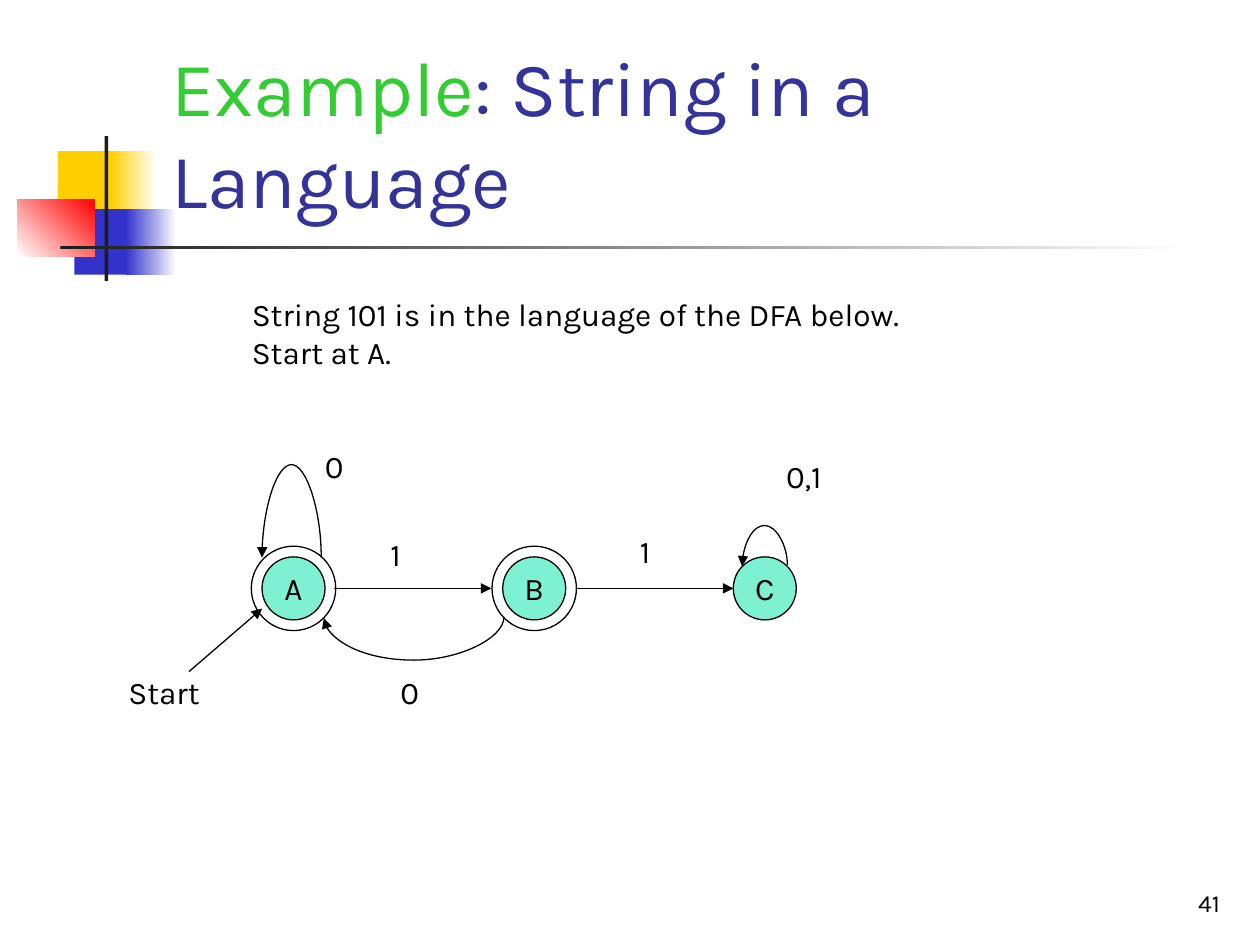
from pptx import Presentation
from pptx.dml.color import RGBColor
from pptx.enum.shapes import MSO_CONNECTOR, MSO_SHAPE
from pptx.enum.text import MSO_ANCHOR, MSO_AUTO_SIZE, PP_ALIGN
from pptx.oxml.ns import qn
from pptx.util import Inches, Pt
from lxml.etree import SubElement

COLORS = {
    "black": "000000", "white": "FFFFFF", "ink": "1C1C1C",
    "yellow": "FFCF01", "blue": "3333CC", "red": "FF0000",
    "green": "33CC33", "navy": "333399", "state": "00E4A8",
}
FONT = "Karla"
LABEL = {"word_wrap": False, "auto_size": MSO_AUTO_SIZE.SHAPE_TO_FIT_TEXT}
BOTTOM = {"word_wrap": True, "vertical_anchor": MSO_ANCHOR.BOTTOM}
CENTERED = {"word_wrap": False, "vertical_anchor": MSO_ANCHOR.MIDDLE}
STATE_Y = 4.67
INNER, OUTER = 0.5, 0.67
LOOP_WIDTH = 0.01


def rgb(name):
    return RGBColor.from_string(COLORS[name])


def apply(target, values):
    for attribute, value in values.items():
        setattr(target, attribute, value)


def write(frame, paragraphs, size, frame_format, align=PP_ALIGN.LEFT):
    apply(frame, frame_format)
    for index, runs in enumerate(paragraphs):
        paragraph = frame.paragraphs[0] if index == 0 else frame.add_paragraph()
        paragraph.alignment = align
        for words, color in runs:
            run = paragraph.add_run()
            run.text = words
            apply(run.font, {"name": FONT, "size": Pt(size)})
            run.font.color.rgb = rgb(color)


def add_text(slide, box, paragraphs, size=18, frame_format=LABEL, align=PP_ALIGN.LEFT):
    area = slide.shapes.add_textbox(*map(Inches, box))
    write(area.text_frame, paragraphs, size, frame_format, align)


def add_block(slide, box, start, end=None, angle=0):
    block = slide.shapes.add_shape(MSO_SHAPE.RECTANGLE, *map(Inches, box))
    block.shadow.inherit = False
    block.line.fill.background()
    if end is None:
        block.fill.solid()
        block.fill.fore_color.rgb = rgb(start)
        return
    block.fill.gradient()
    block.fill.gradient_angle = angle
    for stop, color in zip(block.fill.gradient_stops, (start, end)):
        stop.color.rgb = rgb(color)


def add_circle(slide, center_x, diameter):
    circle = slide.shapes.add_shape(
        MSO_SHAPE.OVAL, Inches(center_x - diameter / 2), Inches(STATE_Y - diameter / 2),
        Inches(diameter), Inches(diameter))
    circle.shadow.inherit = False
    circle.line.color.rgb = rgb("black")
    circle.line.width = Pt(0.75)
    circle.fill.background()
    return circle


def add_state(slide, name, center_x, accepting):
    state = add_circle(slide, center_x, INNER)
    state.fill.solid()
    state.fill.fore_color.rgb = rgb("state")
    tint = state.fill._xPr.find(qn("a:solidFill"))[0]
    SubElement(tint, qn("a:alpha"), val="50000")
    write(state.text_frame, [[(name, "black")]], 18, CENTERED, PP_ALIGN.CENTER)
    if accepting:
        add_circle(slide, center_x, OUTER)


def add_arrow(slide, start, end, kind=MSO_CONNECTOR.STRAIGHT):
    arrow = slide.shapes.add_connector(kind, *map(Inches, (*start, *end)))
    arrow.line.color.rgb = rgb("black")
    arrow.line.width = Pt(0.75)
    SubElement(arrow.line._get_or_add_ln(), qn("a:tailEnd"), type="triangle")
    SubElement(arrow._element.spPr, qn("a:effectLst"))
    return arrow


def add_curve(slide, right, left, y, rise):
    middle, span = (left + right) / 2, right - left
    curve = add_arrow(
        slide, (middle - LOOP_WIDTH / 2, y - span / 2),
        (middle + LOOP_WIDTH / 2, y + span / 2), MSO_CONNECTOR.CURVE)
    properties = curve._element.spPr
    turn = {"rot": "16200000", "flipH": "1", "flipV": "1"} if rise > 0 else {"rot": "5400000"}
    for attribute, value in turn.items():
        properties.find(qn("a:xfrm")).set(attribute, value)
    bend = round(-rise / LOOP_WIDTH * 100000)
    guides = properties.find(qn("a:prstGeom")).find(qn("a:avLst"))
    SubElement(guides, qn("a:gd"), name="adj1", fmla=f"val {bend}")


def add_decoration(slide):
    add_block(slide, (0.46, 1.2, 0.48, 0.52), "yellow")
    add_block(slide, (0.88, 1.2, 0.36, 0.52), "yellow", "white")
    add_block(slide, (0.59, 1.66, 0.46, 0.52), "blue")
    add_block(slide, (1, 1.66, 0.4, 0.52), "blue", "white")
    add_block(slide, (0.14, 1.58, 0.61, 0.46), "white", "red", 45)
    add_block(slide, (0.83, 1.08, 0.03, 1.15), "ink")
    add_block(slide, (0.48, 1.95, 9, 0.03), "ink", "white")


def add_automaton(slide):
    for name, center_x, accepting in (("A", 2.33, True), ("B", 4.24, True), ("C", 6.07, False)):
        add_state(slide, name, center_x, accepting)
    for start, end in (
        ((1.5, 5.33), (2.08, 4.83)),
        ((2.65, STATE_Y), (3.9, STATE_Y)),
        ((4.57, STATE_Y), (5.82, STATE_Y)),
    ):
        add_arrow(slide, start, end)
    for right, left, y, rise in (
        (2.55, 2.08, 4.42, 0.74),
        (4, 2.57, 4.9, -0.35),
        (6.25, 5.89, 4.49, 0.32),
    ):
        add_curve(slide, right, left, y, rise)
    for label, left, top, width in (
        ("Start", 0.92, 5.29, 0.9),
        ("1", 3, 4.2, 0.38),
        ("0", 3.08, 5.29, 0.38),
        ("1", 4.98, 4.17, 0.38),
        ("0", 2.48, 3.5, 0.38),
        ("0,1", 6.14, 3.58, 0.67),
    ):
        add_text(slide, (left, top, width, 0.5), [[(label, "black")]])


def main():
    deck = Presentation()
    apply(deck, {"slide_width": Inches(10), "slide_height": Inches(7.5)})
    slide = deck.slides.add_slide(deck.slide_layouts[6])
    add_decoration(slide)
    add_text(slide, (1.26, 0.23, 8.52, 1.6),
             [[("Example", "green"), (": String in a Language", "navy")]], 44, BOTTOM)
    add_text(slide, (7.7, 6.83, 2.08, 0.5), [[("41", "black")]], 14, BOTTOM, PP_ALIGN.RIGHT)
    add_automaton(slide)
    add_text(slide, (1.9, 2.29, 7.17, 0.9), [
        [("String 101 is in the language of the DFA below.", "black")],
        [("Start at A.", "black")],
    ])
    deck.save("out.pptx")


if __name__ == "__main__":
    main()
